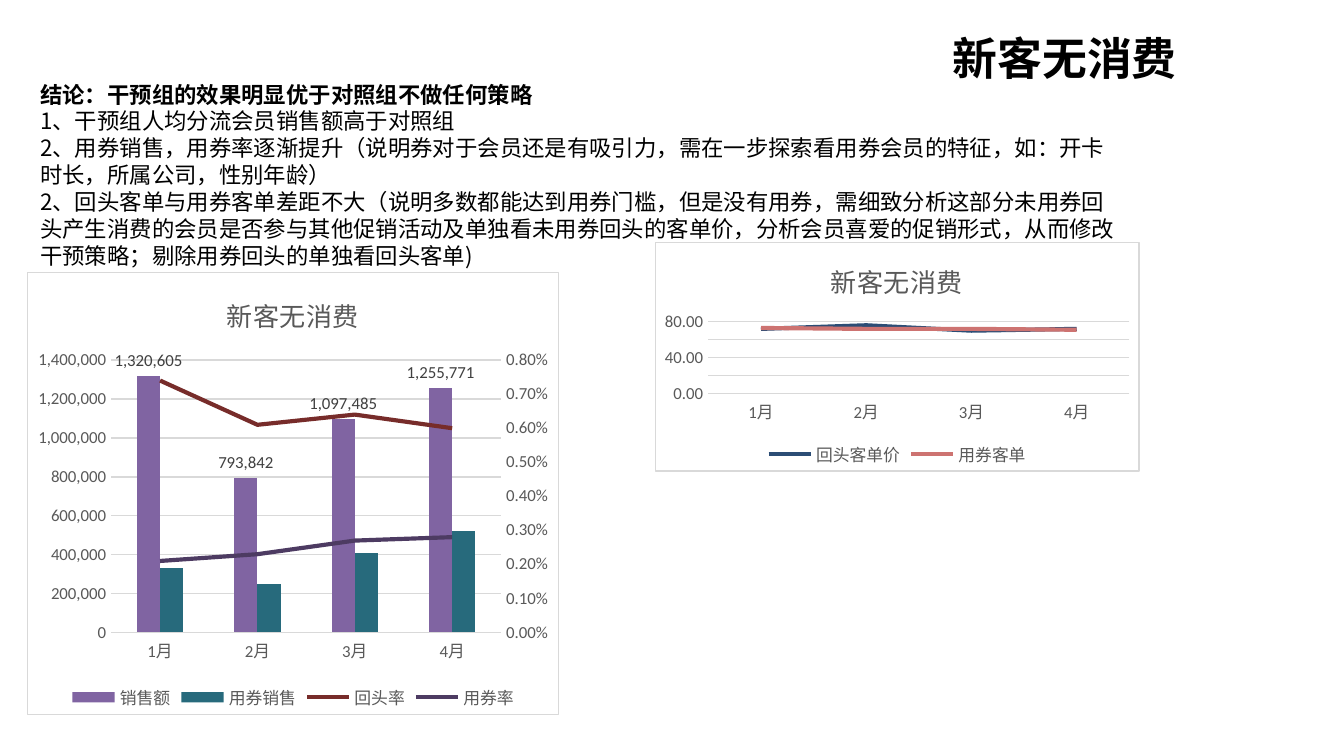
from copy import deepcopy

from lxml.etree import SubElement
from pptx import Presentation
from pptx.chart.data import CategoryChartData
from pptx.dml.color import RGBColor
from pptx.enum.chart import XL_CHART_TYPE, XL_LABEL_POSITION, XL_LEGEND_POSITION, XL_MARKER_STYLE, XL_TICK_MARK
from pptx.enum.text import MSO_ANCHOR, PP_ALIGN
from pptx.oxml import parse_xml
from pptx.oxml.ns import nsdecls, qn
from pptx.util import Cm, Pt

COLORS = {
    "text": "000000", "axis": "595959", "label": "404040", "rule": "D9D9D9", "paper": "FFFFFF",
    "销售额": "8064A2", "用券销售": "276A7C", "回头率": "772C2A", "用券率": "4D3B62",
    "回头客单价": "2C4D75", "用券客单": "CD7371",
}
MONTHS = ["1月", "2月", "3月", "4月"]
TOPIC = "新客无消费"
CONCLUSIONS = [
    "结论：干预组的效果明显优于对照组不做任何策略",
    "1、干预组人均分流会员销售额高于对照组",
    "2、用券销售，用券率逐渐提升（说明券对于会员还是有吸引力，需在一步探索看用券会员的特征，如：开卡时长，所属公司，性别年龄）",
    "2、回头客单与用券客单差距不大（说明多数都能达到用券门槛，但是没有用券，需细致分析这部分未用券回头产生消费的会员是否参与其他促销活动及单独看未用券回头的客单价，分析会员喜爱的促销形式，从而修改干预策略；剔除用券回头的单独看回头客单)",
]
SALES = {
    "销售额": [1320605, 793842, 1097485, 1255771],
    "用券销售": [330000, 250000, 410000, 520000],
    "回头率": [0.0074, 0.0061, 0.0064, 0.006],
    "用券率": [0.0021, 0.0023, 0.0027, 0.0028],
}
BASKET = {"回头客单价": [72, 76, 70, 72], "用券客单": [73, 72, 72, 71]}


def style_font(font, size, color, name="Calibri", bold=False):
    font.size = Pt(size)
    font.name = name
    font.bold = bold
    font.color.rgb = RGBColor.from_string(COLORS[color])


def add_monthly_chart(kind, figures, number_format, left, top, width, height):
    data = CategoryChartData()
    data.categories = MONTHS
    for name, values in figures.items():
        data.add_series(name, values)
    chart = slide.shapes.add_chart(kind, left, top, width, height, data).chart
    style_font(chart.font, 10, "text")
    chart.has_title = True
    heading = chart.chart_title.text_frame.paragraphs[0]
    heading.text = TOPIC
    style_font(heading.font, 14, "axis")
    chart.chart_title.include_in_layout = False
    chart.has_legend = True
    chart.legend.position = XL_LEGEND_POSITION.BOTTOM
    chart.legend.include_in_layout = False
    style_font(chart.legend.font, 9, "axis")
    for axis in (chart.category_axis, chart.value_axis):
        axis.major_tick_mark = axis.minor_tick_mark = XL_TICK_MARK.NONE
        style_font(axis.tick_labels.font, 9, "axis")
    chart.value_axis.format.line.fill.background()
    chart.value_axis.tick_labels.number_format = number_format
    chart.value_axis.tick_labels.number_format_is_linked = False
    chart.value_axis.has_major_gridlines = True
    for line in (chart.category_axis.format.line, chart.value_axis.major_gridlines.format.line):
        line.width = Pt(0.75)
        line.color.rgb = RGBColor.from_string(COLORS["rule"])
    chart.plots[0].vary_by_categories = False
    chart.element.find(qn("c:chart")).addnext(parse_xml(
        f'<c:spPr {nsdecls("c", "a")}><a:solidFill><a:srgbClr val="{COLORS["paper"]}"/></a:solidFill>'
        f'<a:ln w="9525"><a:solidFill><a:srgbClr val="{COLORS["rule"]}"/></a:solidFill></a:ln></c:spPr>'))
    return chart


deck = Presentation()
deck.slide_width, deck.slide_height = Cm(25.4), Cm(14.28)
slide = deck.slides.add_slide(deck.slide_layouts[5])

title = slide.shapes.title
title.left, title.top, title.width, title.height = Cm(15.8), Cm(0.3), Cm(8.64), Cm(1.57)
title.text_frame.text = TOPIC
title.text_frame.vertical_anchor = MSO_ANCHOR.MIDDLE
title.text_frame.paragraphs[0].alignment = PP_ALIGN.CENTER
style_font(title.text_frame.paragraphs[0].font, 24, "text", "Noto Sans CJK SC", True)

findings = slide.shapes.add_textbox(Cm(0.51), Cm(1.4), Cm(21.03), Cm(4.37)).text_frame
findings.word_wrap = True
findings.text = "\n".join(CONCLUSIONS)
for number, paragraph in enumerate(findings.paragraphs):
    style_font(paragraph.font, 12, "text", "Noto Sans CJK SC", number == 0)

sales_chart = add_monthly_chart(XL_CHART_TYPE.COLUMN_CLUSTERED, SALES, "#,##0",
                                Cm(0.51), Cm(5.13), Cm(10.06), Cm(8.38))
columns = sales_chart.plots[0]
columns.gap_width = 219
columns.overlap = 0

plot_area = sales_chart.element.find(".//" + qn("c:plotArea"))
column_group = plot_area.find(qn("c:barChart"))
rate_group = parse_xml(f'<c:lineChart {nsdecls("c")}><c:grouping val="standard"/><c:varyColors val="0"/></c:lineChart>')
for rate in column_group.findall(qn("c:ser"))[2:]:
    for bar_flag in rate.findall(qn("c:invertIfNegative")):
        rate.remove(bar_flag)
    rate_group.append(rate)
SubElement(rate_group, qn("c:marker")).set("val", "1")
column_group.addnext(rate_group)

month_axis, amount_axis = plot_area.find(qn("c:catAx")), plot_area.find(qn("c:valAx"))
rate_month_axis, rate_axis = deepcopy(month_axis), deepcopy(amount_axis)
amount_axis.addnext(rate_axis)
rate_axis.addnext(rate_month_axis)
for axis, own_id, cross_id in ((rate_month_axis, "5001", "5002"), (rate_axis, "5002", "5001")):
    SubElement(rate_group, qn("c:axId")).set("val", own_id)
    axis.find(qn("c:axId")).set("val", own_id)
    axis.find(qn("c:crossAx")).set("val", cross_id)
rate_month_axis.find(qn("c:delete")).set("val", "1")
for gridlines in rate_axis.findall(qn("c:majorGridlines")):
    rate_axis.remove(gridlines)
rate_axis.find(qn("c:axPos")).set("val", "r")
rate_axis.find(qn("c:crosses")).set("val", "max")
rate_axis.find(qn("c:numFmt")).set("formatCode", "0.00%")

for series in columns.series:
    series.format.fill.solid()
    series.format.fill.fore_color.rgb = RGBColor.from_string(COLORS[series.name])
sales_labels = columns.series[0].data_labels
sales_labels.show_value = True
sales_labels.position = XL_LABEL_POSITION.OUTSIDE_END
sales_labels.number_format = "#,##0"
sales_labels.number_format_is_linked = False
style_font(sales_labels.font, 9, "label")

basket_chart = add_monthly_chart(XL_CHART_TYPE.LINE, BASKET, "#,##0.00",
                                 Cm(12.37), Cm(4.57), Cm(9.17), Cm(4.34))
basket_chart.value_axis.minimum_scale = 0

for series in [*sales_chart.plots[1].series, *basket_chart.plots[0].series]:
    series.smooth = False
    series.marker.style = XL_MARKER_STYLE.NONE
    series.format.line.width = Pt(2.25)
    series.format.line.color.rgb = RGBColor.from_string(COLORS[series.name])

deck.save("out.pptx")
